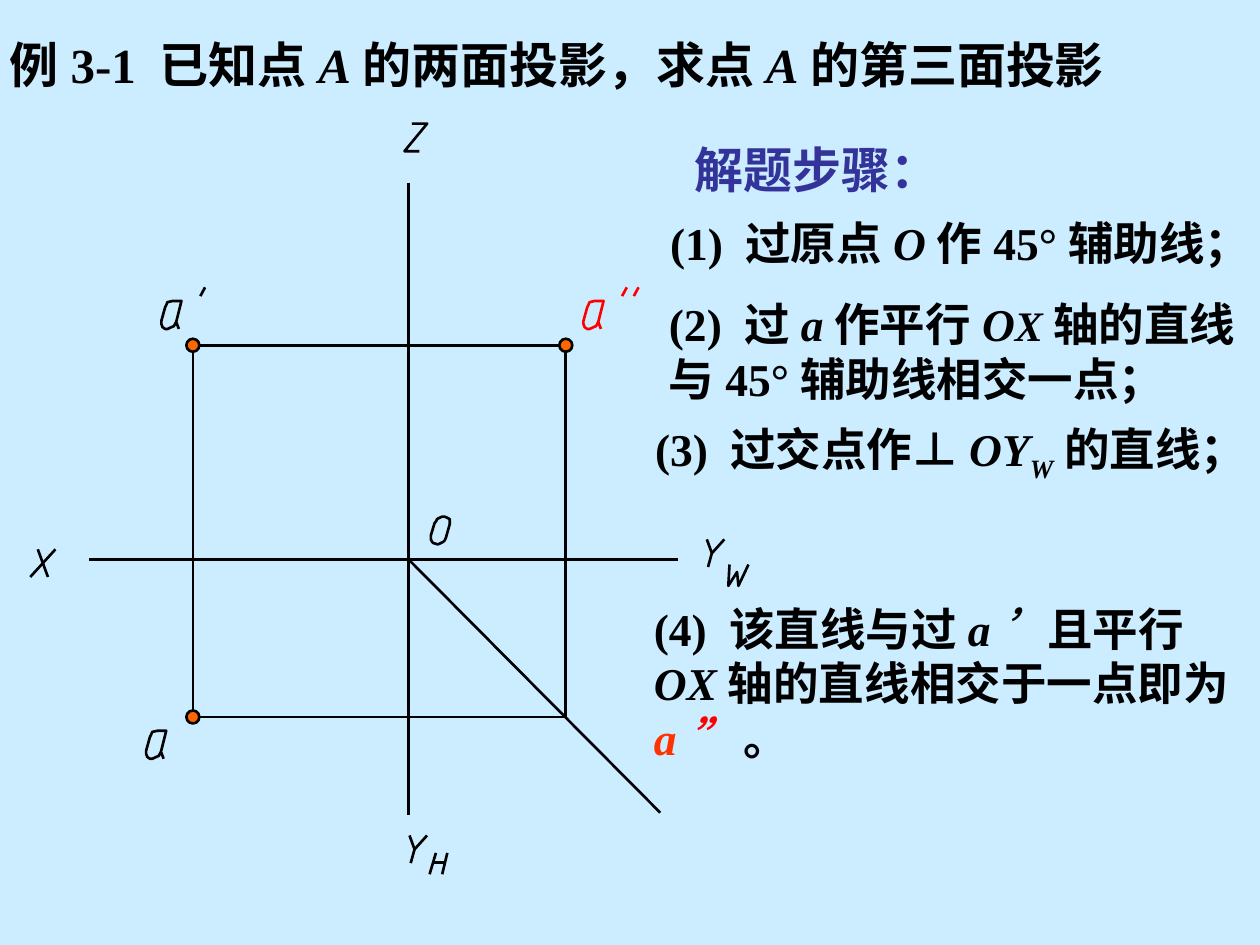
from lxml import etree
from pptx import Presentation
from pptx import util as u
from pptx.dml.color import RGBColor
from pptx.enum import shapes, text
from pptx.oxml.ns import qn

COLORS = {
    "sky": "CCECFF", "ink": "000000", "dot": "FF6600", "red": "FF0000",
    "answer": "FF3300", "heading": "333399",
}
SERIF, SANS = "Times New Roman", "Arial"

# Stroke letters: each is a list of polylines from its own top left corner.
LETTERS = {
    "a": [[(10, 16), (8.5, 12), (11.5, 0), (6.5, 0), (3.5, 0.7), (2.9, 2.2), (2.2, 3.6),
           (0, 11.5), (0, 13), (0.7, 15), (2.2, 16), (3.6, 16), (5.8, 15), (7.2, 14.4),
           (8.5, 12)]],
    "O": [[(3.6, 15.8), (4.3, 15.8), (5.8, 15.1), (7.2, 14.4), (7.9, 13.7), (8.6, 12.2),
           (10.8, 4.3), (10.8, 2.9), (10.8, 1.4), (9.4, 0.7), (7.9, 0), (6.5, 0), (5, 0.7),
           (3.6, 1.4), (2.9, 2.9), (2.2, 3.6), (0, 10.8), (0, 13), (0.7, 14.4), (1.4, 15.1),
           (3.6, 15.8)]],
    "X": [[(4.3, 0), (10.1, 15.8)], [(14.4, 0), (0, 15.8)]],
    "Y": [[(0, 0), (2.9, 7.9), (10, 0)], [(2.9, 7.9), (0.7, 15.8)]],
    "Z": [[(4.3, 0), (13, 0), (0, 15.8), (8.6, 15.8)]],
    "W": [[(0.7, 0), (0, 12.2), (5, 4.3), (5.8, 12.2), (11.5, 0)]],
    "H": [[(3.6, 0), (0, 12.2)], [(2.2, 5.4), (8.7, 5.4)], [(10.1, 0), (7.2, 12.2)]],
    "'": [[(2.7, 0), (0, 5)]],
}


def rgb(name):
    return RGBColor.from_string(COLORS[name])


class Sketch:
    line_width = 1.5

    def __init__(self, page):
        self.page = page
        page.background.fill.solid()
        page.background.fill.fore_color.rgb = rgb("sky")

    def stroke(self, shape, color="ink"):
        shape.line.color.rgb = rgb(color)
        shape.line.width = u.Pt(self.line_width)

    def line(self, x1, y1, x2, y2, color="ink"):
        line = self.page.shapes.add_connector(
            shapes.MSO_CONNECTOR.STRAIGHT, u.Pt(x1), u.Pt(y1), u.Pt(x2), u.Pt(y2))
        self.stroke(line, color)
        etree.SubElement(line._element.spPr, qn("a:effectLst"))

    def letter(self, name, x, y, color="ink"):
        for points in LETTERS[name]:
            if len(points) == 2:
                (x1, y1), (x2, y2) = points
                self.line(x + x1, y + y1, x + x2, y + y2, color)
                continue
            spots = [(u.Pt(x + dx), u.Pt(y + dy)) for dx, dy in points]
            builder = self.page.shapes.build_freeform(*spots[0])
            builder.add_line_segments(spots[1:], close=points[0] == points[-1])
            outline = builder.convert_to_shape()
            outline.shadow.inherit = False
            outline.fill.background()
            self.stroke(outline, color)

    def dot(self, x, y, size=7.4):
        dot = self.page.shapes.add_shape(
            shapes.MSO_SHAPE.OVAL, u.Pt(x - size / 2), u.Pt(y - size / 2), u.Pt(size), u.Pt(size))
        dot.shadow.inherit = False
        dot.fill.solid()
        dot.fill.fore_color.rgb = rgb("dot")
        self.stroke(dot)

    def text(self, frame, size, spans, wrap=True, anchor=text.MSO_ANCHOR.MIDDLE):
        """Each span is (words, font) plus an optional dict of italic, color, size, baseline."""
        box = self.page.shapes.add_textbox(*(u.Pt(value) for value in frame))
        body = box.text_frame
        body.word_wrap = wrap
        body.auto_size = text.MSO_AUTO_SIZE.SHAPE_TO_FIT_TEXT
        body.vertical_anchor = anchor
        para = body.paragraphs[0]
        para.font.size, para.font.bold = u.Pt(size), True
        for words, font, *extra in spans:
            look = extra[0] if extra else {}
            span = para.add_run()
            span.text = words
            span.font.name = font
            span.font.size = u.Pt(look.get("size", size))
            span.font.bold = True
            span.font.italic = look.get("italic", False)
            span.font.color.rgb = rgb(look.get("color", "ink"))
            if "baseline" in look:
                span._r.get_or_add_rPr().set("baseline", str(look["baseline"] * 1000))
        return para


def draw_projections(sketch):
    left, right, top, bottom = 110.2, 323.3, 197.3, 409.7
    center_x, center_y = 233.5, 319.7
    sketch.line(51, center_y, 387.4, center_y)
    sketch.line(center_x, 104.4, center_x, 465.8)
    sketch.line(center_x, center_y, 377.3, 464.4)
    sketch.line(left, top, left, bottom)
    sketch.line(right, top, right, bottom)
    sketch.line(left, top, right, top)
    sketch.line(left, bottom, right, bottom)
    for x, y in [(left, top), (left, bottom), (right, top)]:
        sketch.dot(x, y)
    for name, x, y in [
        ("Z", 231.1, 70.6), ("O", 246.2, 295.2), ("X", 17.3, 313.9),
        ("Y", 403.9, 308.2), ("W", 416.2, 322.6), ("Y", 234, 477.4), ("H", 245.5, 487.4),
        ("a", 92.2, 172), ("'", 114.5, 164.2), ("a", 83.5, 417.6),
    ]:
        sketch.letter(name, x, y)
    for name, x, y in [("a", 333.4, 172), ("'", 355.5, 164.2), ("'", 362.2, 164.2)]:
        sketch.letter(name, x, y, "red")


def write_steps(sketch):
    italic = {"italic": True}
    sketch.text((-1.4, 15.8, 645.8, 41), 28, [
        ("例3-1 已知点", SERIF), ("A", SERIF, italic), ("的两面投影，求点", SERIF),
        ("A", SERIF, italic), ("的第三面投影", SERIF)], wrap=False)
    sketch.text((375.8, 103.7, 344.2, 69.8), 26, [
        ("(1) ", SERIF), ("过原点", SANS), ("O", SERIF, italic), ("作", SANS),
        ("45°", SERIF), ("辅助线；", SANS)])
    sketch.text((375.1, 165.6, 344.9, 69.8), 26, [
        ("(2) ", SERIF), ("过", SANS), ("a", SERIF, italic), ("作平行", SANS),
        ("O", SERIF, italic), ("X", SERIF, {"italic": True, "size": 24}),
        ("轴的直线与", SANS), ("45°", SERIF), ("辅助线相交一点；", SANS)])
    sketch.text((367.2, 236.9, 358.6, 43.2), 26, [
        ("(3) ", SERIF), ("过交点作⊥", SANS), ("OY", SERIF, italic),
        ("W", SERIF, {"italic": True, "baseline": -25}), ("的直线；", SANS)], wrap=False)
    sketch.text((366.5, 339.8, 353.5, 100.8), 26, [
        ("(4) ", SERIF), ("该直线与过", SANS), ("a", SERIF, italic), ("’", SANS, italic),
        ("且平行", SANS), ("OX", SERIF, italic), ("轴的直线相交于一点即为", SANS),
        ("a", SERIF, {"italic": True, "color": "answer"}),
        ("”", SANS, {"italic": True, "color": "red"}), (" 。", SANS)])
    heading = sketch.text((374.4, 76.3, 185, 41), 28, [
        ("解题步骤：", SANS, {"color": "heading"})], anchor=text.MSO_ANCHOR.TOP)
    heading.alignment = text.PP_ALIGN.CENTER
    heading.space_before = u.Pt(17.5)


def main():
    deck = Presentation()
    deck.slide_width, deck.slide_height = u.Pt(720), u.Pt(540)
    sketch = Sketch(deck.slides.add_slide(deck.slide_layouts[6]))
    draw_projections(sketch)
    write_steps(sketch)
    deck.save("out.pptx")


if __name__ == "__main__":
    main()
